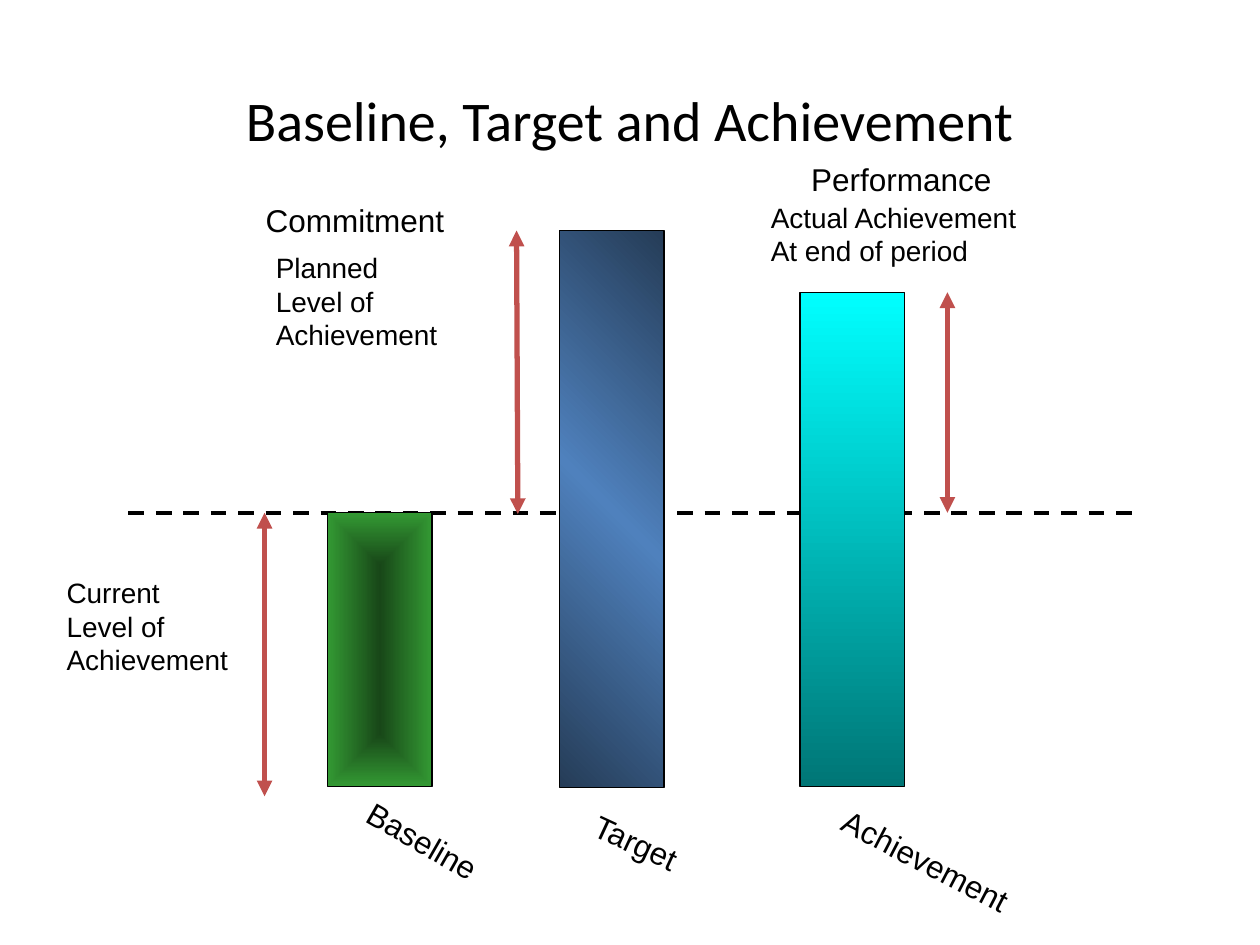
"""Build a slide comparing baseline, target and achievement as three bars."""
import lxml.etree
import pptx
import pptx.dml.color
import pptx.enum.dml
import pptx.enum.shapes
import pptx.enum.text
import pptx.oxml.ns
import pptx.util

Inches = pptx.util.Inches
COLORS = {
    "text": "000000", "arrow": "C0504D",
    "green": "339933", "dark green": "184718",
    "cyan": "00FFFF", "dark cyan": "007676",
    "blue": "4F81BD", "dark blue": "253C57",
}
BASE_LEVEL = 4.07
BAR_WIDTH = 0.83

TITLE = ("Baseline, Target and Achievement", (0.75, 0.67, 8.5, 0.55))
BARS = [
    (2.6, BASE_LEVEL, 2.17, ["dark green", "green"], None),
    (6.35, 2.32, 3.92, ["cyan", "dark cyan"], 90),
    (4.44, 1.83, 4.42, ["dark blue", "blue", "dark blue"], 315),
]
ARROWS = [
    (2.1, BASE_LEVEL, 2.1, 6.32),
    (7.52, 2.32, 7.52, BASE_LEVEL),
    (4.1, 1.83, 4.11, 4.08),
]
BAR_NAMES = [
    ("Baseline", (2.77, 6.49, 1.23, 0.4), 29.9),
    ("Target", (4.6, 6.5, 0.97, 0.4), 24.9),
    ("Achievement", (6.52, 6.66, 1.76, 0.4), 27.5),
]
HEADINGS = [
    ("Commitment", (2.01, 1.55, 1.73, 0.4)),
    ("Performance", (6.34, 1.22, 1.73, 0.4)),
]
EXPLANATIONS = [
    ("Current\nLevel of\nAchievement", (0.43, 4.52, 1.58, 0.9)),
    ("Planned\nLevel of\nAchievement", (2.09, 1.94, 1.58, 0.9)),
    ("Actual Achievement\nAt end of period", (6.02, 1.54, 2.4, 0.64)),
]


def rgb(name):
    return pptx.dml.color.RGBColor.from_string(COLORS[name])


def add_xml(parent, tag, **attributes):
    return lxml.etree.SubElement(parent, pptx.oxml.ns.qn(tag), attributes)


def add_text(slide, text, box, size=18, font="Arial", rotation=0, centered=False):
    label = slide.shapes.add_textbox(*map(Inches, box))
    label.rotation = rotation
    frame = label.text_frame
    frame.word_wrap = centered
    if centered:
        frame.vertical_anchor = pptx.enum.text.MSO_ANCHOR.MIDDLE
    else:
        frame.auto_size = pptx.enum.text.MSO_AUTO_SIZE.SHAPE_TO_FIT_TEXT
    frame.text = text
    align = pptx.enum.text.PP_ALIGN
    for paragraph in frame.paragraphs:
        paragraph.alignment = align.CENTER if centered else align.LEFT
        paragraph.font.size = pptx.util.Pt(size)
        paragraph.font.name = font
        paragraph.font.color.rgb = rgb("text")


def add_line(slide, ends, color, width):
    line = slide.shapes.add_connector(
        pptx.enum.shapes.MSO_CONNECTOR.STRAIGHT, *map(Inches, ends))
    line.line.color.rgb = rgb(color)
    line.line.width = pptx.util.Pt(width)
    add_xml(line._element.spPr, "a:effectLst")
    return line


def add_arrow(slide, ends):
    arrow = add_line(slide, ends, "arrow", 3)
    outline = arrow.line._get_or_add_ln()
    for tag in ("a:headEnd", "a:tailEnd"):
        add_xml(outline, tag, type="triangle")


def add_bar(slide, left, top, height, stops, angle):
    bar = slide.shapes.add_shape(
        pptx.enum.shapes.MSO_SHAPE.RECTANGLE,
        *map(Inches, (left, top, BAR_WIDTH, height)))
    bar.shadow.inherit = False
    bar.line.color.rgb = rgb("text")
    bar.line.width = pptx.util.Pt(0.75)
    bar.fill.gradient()
    gradient = bar._element.spPr.find(pptx.oxml.ns.qn("a:gradFill"))
    for child in list(gradient):
        gradient.remove(child)
    stop_list = add_xml(gradient, "a:gsLst")
    for index, color in enumerate(stops):
        position = 100000 * index // (len(stops) - 1)
        stop = add_xml(stop_list, "a:gs", pos=str(position))
        add_xml(stop, "a:srgbClr", val=COLORS[color])
    if angle is None:
        shading = add_xml(gradient, "a:path", path="shape")
        add_xml(shading, "a:fillToRect", **dict.fromkeys("ltrb", "50000"))
    else:
        add_xml(gradient, "a:lin", ang=str(angle * 60000), scaled="1")


def main():
    deck = pptx.Presentation()
    deck.slide_width, deck.slide_height = Inches(10), Inches(7.5)
    slide = deck.slides.add_slide(deck.slide_layouts[6])

    add_text(slide, *TITLE, size=32, font="Calibri", centered=True)
    base_line = add_line(slide, (1.02, BASE_LEVEL, 9.02, BASE_LEVEL), "text", 2.25)
    base_line.line.dash_style = pptx.enum.dml.MSO_LINE.DASH
    for bar in BARS:
        add_bar(slide, *bar)
    for ends in ARROWS:
        add_arrow(slide, ends)
    for name, box, rotation in BAR_NAMES:
        add_text(slide, name, box, rotation=rotation)
    for heading, box in HEADINGS:
        add_text(slide, heading, box)
    for explanation, box in EXPLANATIONS:
        add_text(slide, explanation, box, size=16)

    deck.save("out.pptx")


if __name__ == "__main__":
    main()
